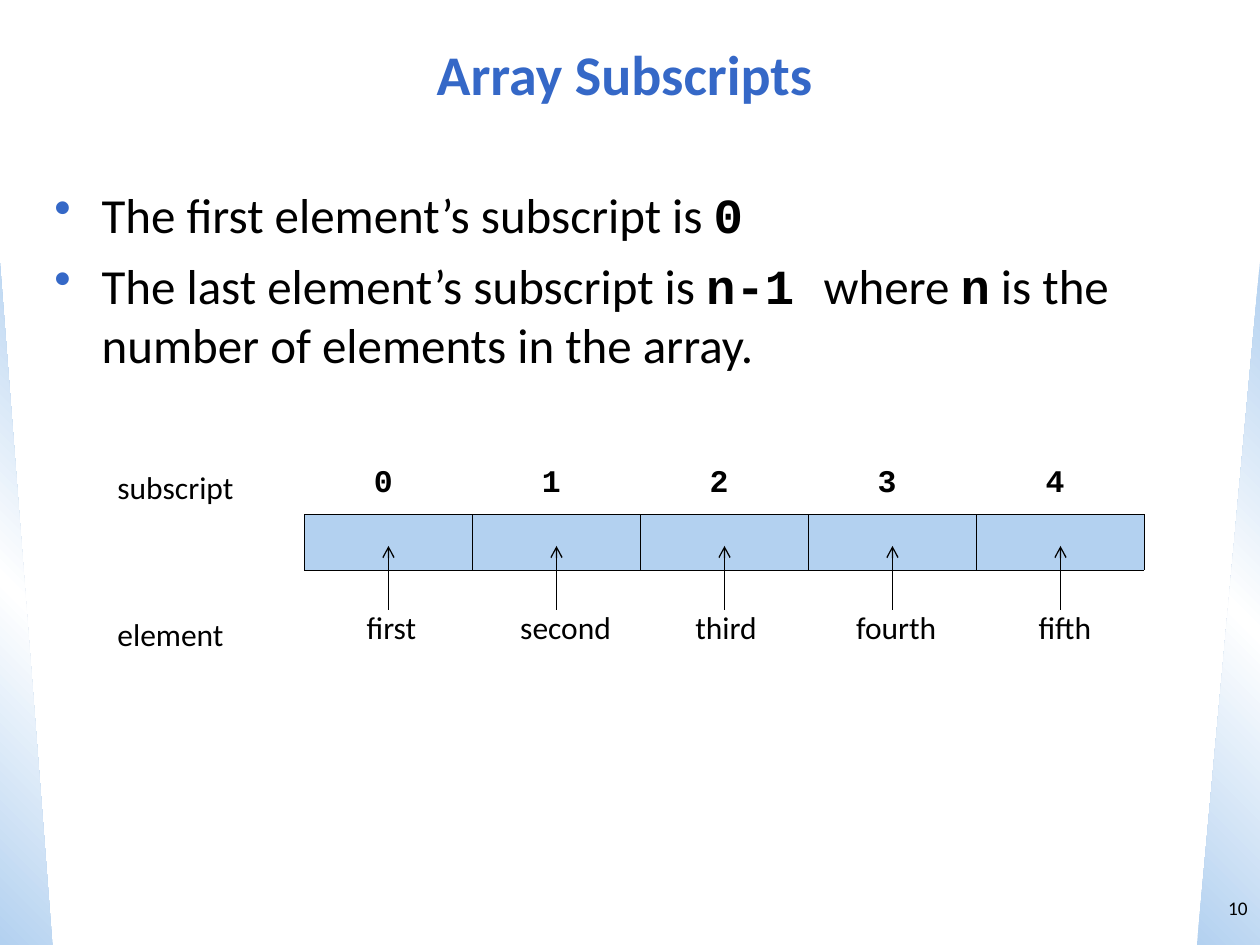
from dataclasses import dataclass

from lxml.etree import SubElement
from pptx import Presentation
from pptx.dml.color import RGBColor as RGB
from pptx.enum.shapes import MSO_CONNECTOR as CONN, MSO_SHAPE as SHAPE
from pptx.enum.text import MSO_ANCHOR as ANCHOR, PP_ALIGN as ALIGN
from pptx.oxml import parse_xml
from pptx.oxml.ns import nsdecls, qn
from pptx.util import Pt


@dataclass(frozen=True)
class Theme:
    """Colours, fonts and type sizes of the slide."""
    accent: str = "3568C7"
    pale: str = "B3D1F0"
    white: str = "FFFFFF"
    ink: str = "000000"
    font: str = "Calibri"
    mono: str = "Courier New"
    title: int = 32
    body: int = 28
    label: int = 18
    number: int = 11


T = Theme()
CELL_W = 96
INSET = 7.2


def add_text(tf, text, size=T.label, color=T.ink, bold=False, mono=False,
             align=ALIGN.LEFT, before=0, spacing=None, first=True):
    """Add a paragraph from a string or a list of (text, is_code) runs."""
    p = tf.paragraphs[0] if first else tf.add_paragraph()
    p.alignment, p.space_before = align, Pt(before)
    if spacing:
        p.line_spacing = spacing
    runs = [(text, mono)] if isinstance(text, str) else text
    for words, code in runs:
        r = p.add_run()
        r.text = words
        r.font.name = T.mono if code else T.font
        r.font.size = Pt(size)
        r.font.bold = bold or code
        r.font.color.rgb = RGB.from_string(color)
    return p


def add_box(s, x, y, w, h, anchor=ANCHOR.TOP):
    """Add a wrapping text box and return its text frame."""
    tf = s.shapes.add_textbox(Pt(x), Pt(y), Pt(w), Pt(h)).text_frame
    tf.word_wrap, tf.vertical_anchor = True, anchor
    return tf


def add_bullet(p, indent):
    """Give a paragraph a coloured bullet with a hanging indent."""
    pPr = p._p.get_or_add_pPr()
    pPr.set("marL", str(Pt(indent)))
    pPr.set("indent", str(-Pt(indent)))
    SubElement(SubElement(pPr, qn("a:buClr")), qn("a:srgbClr")).set("val", T.accent)
    SubElement(pPr, qn("a:buChar")).set("char", "•")


def add_wedge(s, x, w, angle, flip=False):
    """Add a gradient triangle at the side of the slide."""
    sp = s.shapes.add_shape(SHAPE.RIGHT_TRIANGLE, Pt(x), Pt(150), Pt(w), Pt(390))
    sp.shadow.inherit = False
    sp.line.fill.background()
    stops = "".join(
        f'<a:gs pos="{pos}"><a:srgbClr val="{color}"/></a:gs>'
        for pos, color in ((0, T.pale), (50000, T.white), (100000, T.pale)))
    spPr = sp._element.spPr
    spPr.find(qn("a:prstGeom")).addnext(parse_xml(
        f'<a:gradFill {nsdecls("a")} rotWithShape="1"><a:gsLst>{stops}</a:gsLst>'
        f'<a:lin ang="{angle * 60000}" scaled="0"/></a:gradFill>'))
    if flip:
        spPr.find(qn("a:xfrm")).set("flipH", "1")


def set_borders(cell, width):
    """Draw all four borders of a cell, or none when the width is zero."""
    paint = f'<a:solidFill><a:srgbClr val="{T.ink}"/></a:solidFill>' if width else "<a:noFill/>"
    tcPr = cell._tc.get_or_add_tcPr()
    for i, side in enumerate("LRTB"):
        tcPr.insert(i, parse_xml(
            f'<a:ln{side} {nsdecls("a")} w="{Pt(width)}">{paint}</a:ln{side}>'))


def add_row(s, x, y, h, texts, pads, fill=None, border=0, **fmt):
    """Add a one-row table whose texts are padded from the left."""
    n = len(texts)
    table = s.shapes.add_table(1, n, Pt(x), Pt(y), Pt(CELL_W * n), Pt(h)).table
    table.first_row = table.horz_banding = False
    for cell, text, pad in zip(table.rows[0].cells, texts, pads):
        cell.margin_left = Pt(INSET + pad)
        if fill:
            cell.fill.solid()
            cell.fill.fore_color.rgb = RGB.from_string(fill)
        else:
            cell.fill.background()
        set_borders(cell, border)
        if text:
            add_text(cell.text_frame, text, before=4.5, **fmt)


def add_arrow(s, x, bottom, top):
    """Add a thin upward arrow."""
    c = s.shapes.add_connector(CONN.STRAIGHT, Pt(x), Pt(bottom), Pt(x), Pt(top))
    c.line.width = Pt(0.74)
    c.line.color.rgb = RGB.from_string(T.ink)
    SubElement(c.line._get_or_add_ln(), qn("a:tailEnd")).set("type", "arrow")
    SubElement(c._element.spPr, qn("a:effectLst"))


def add_array(s):
    """Add the array cells with their subscripts, arrows and labels."""
    left, names = 174, ["first", "second", "third", "fourth", "fifth"]
    n = len(names)
    add_row(s, left, 264, 32.4, [str(i) for i in range(n)], [32.4] * n,
            mono=True, spacing=0.85)
    add_row(s, left, 294, 31.7, [""] * n, [0] * n, fill=T.pale, border=0.1)
    add_row(s, left + 12, 348, 35.3, names, [16.3, 8.1, 12.2, 8.1, 16.3], spacing=0.79)
    for i in range(n):
        add_arrow(s, left + CELL_W * (i + 0.5), 348.5, 312)
    for label, y in (("subscript", 264), ("element", 348)):
        add_text(add_box(s, 60, y, 110, 29), label)


def main():
    """Build the slide and save it."""
    prs = Presentation()
    prs.slide_width, prs.slide_height = Pt(720), Pt(540)
    s = prs.slides.add_slide(prs.slide_layouts[6])
    add_wedge(s, 0, 30, 315)
    add_wedge(s, 684, 36, 45, flip=True)
    add_text(add_box(s, 18, 12, 678, 60, ANCHOR.MIDDLE), "Array Subscripts",
             size=T.title, color=T.accent, bold=True, align=ALIGN.CENTER)
    points = [
        [("The first element’s subscript is ", False), ("0", True)],
        [("The last element’s subscript is ", False), ("n-1 ", True),
         ("where ", False), ("n", True),
         (" is the number of elements in the array.", False)],
    ]
    tf = add_box(s, 24, 102, 653, 360)
    for i, runs in enumerate(points):
        add_bullet(add_text(tf, runs, size=T.body, before=7, first=i == 0), 27)
    add_array(s)
    add_text(add_box(s, 684, 498, 36, 42, ANCHOR.MIDDLE), "10",
             size=T.number, align=ALIGN.RIGHT)
    prs.save("out.pptx")


main()
